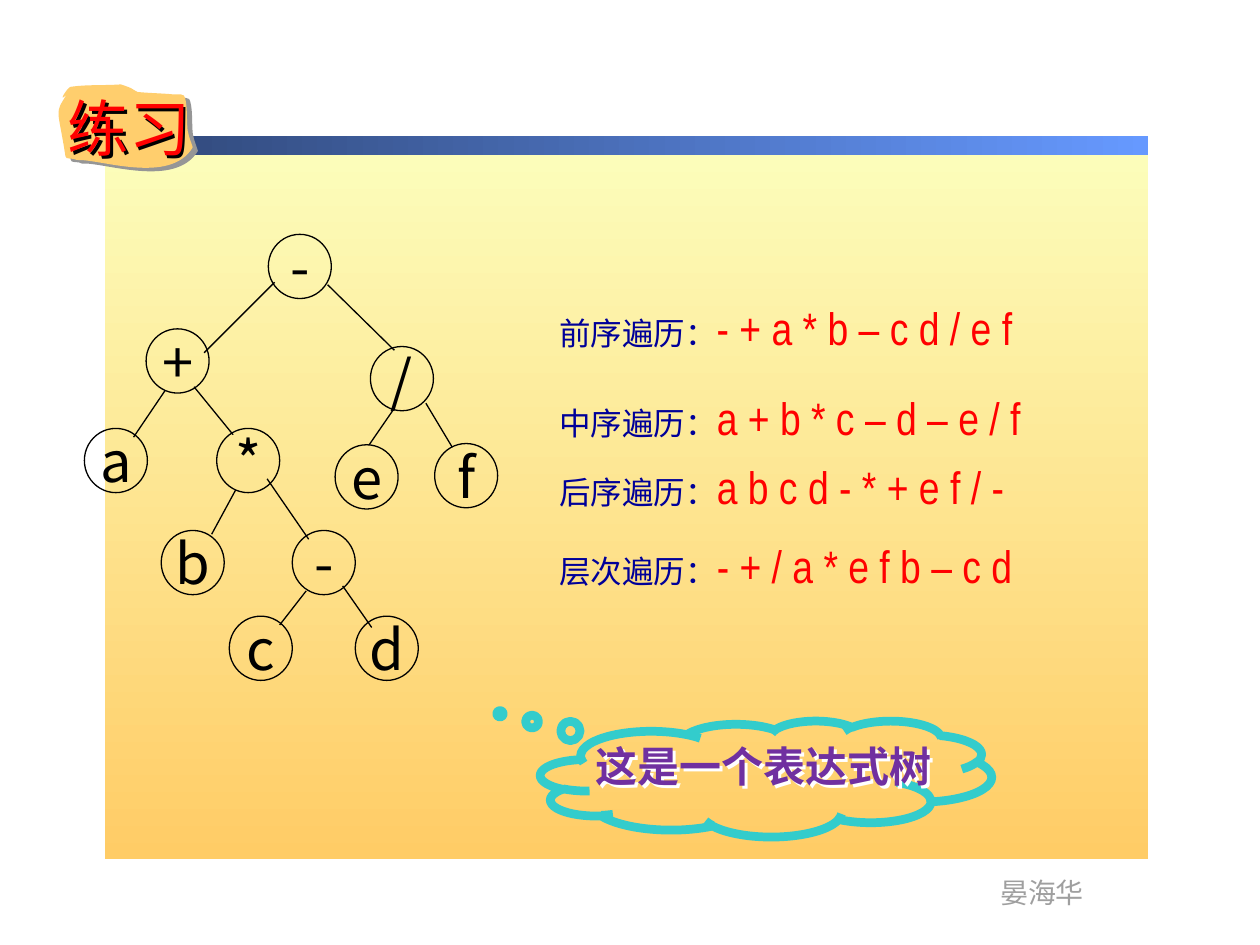
"""Build the exercise slide on traversals of an expression tree."""
from lxml import etree
from pptx import Presentation
from pptx.dml import color
from pptx.enum import shapes as kinds, text
from pptx.oxml import ns
from pptx.util import Inches, Pt

LATIN, CJK = "Arial Narrow", "Noto Sans CJK SC"
BLACK, RED = "000000", "FF0000"
BANDS = [
    ((0.83, 1.1, 8.28, 5.72), ("FCFEBC", "FFCC66"), 270),
    ((0.84, 1.08, 8.27, 0.15), ("2F4676", "6699FF"), 0),
]
BADGE_START = (0.53, 0.75)
BADGE_CURVES = [
    ((0.43, 0.91), (0.46, 0.85), (0.52, 1.24)),
    ((0.52, 1.27), (0.58, 1.25), (0.61, 1.27)),
    ((0.79, 1.26), (1.35, 1.47), (1.53, 1.17)),
    ((1.52, 1.14), (1.51, 1.11), (1.5, 1.08)),
    ((1.5, 1.07), (1.49, 1.04), (1.49, 1.04)),
    ((1.48, 0.95), (1.49, 0.86), (1.47, 0.78)),
    ((1.47, 0.74), (1.41, 0.75), (1.38, 0.75)),
    ((1.28, 0.74), (1.18, 0.74), (1.09, 0.73)),
    ((1.07, 0.72), (1.06, 0.71), (1.04, 0.7)),
    ((1.02, 0.69), (0.96, 0.67), (0.96, 0.67)),
    ((0.83, 0.68), (0.69, 0.67), (0.56, 0.69)),
    ((0.54, 0.69), (0.45, 0.83), (0.53, 0.75)),
]
NODE_SIZE = (0.5, 0.51)
NODES = [
    ("-", 2.13, 1.86), ("+", 1.16, 2.61), ("/", 2.94, 2.75),
    ("a", 0.67, 3.4), ("*", 1.72, 3.4), ("e", 2.66, 3.53), ("f", 3.45, 3.52),
    ("b", 1.28, 4.21), ("-", 2.32, 4.21), ("c", 1.82, 4.89), ("d", 2.82, 4.89),
]
EDGES = [
    (2.18, 2.24, 1.62, 2.8), (2.6, 2.26, 3.13, 2.78),
    (1.31, 3.1, 1.06, 3.47), (1.54, 3.07, 1.85, 3.45),
    (3.13, 3.24, 2.93, 3.53), (3.38, 3.2, 3.59, 3.55),
    (1.87, 3.89, 1.68, 4.24), (2.12, 3.8, 2.45, 4.28),
    (2.43, 4.69, 2.22, 4.96), (2.72, 4.65, 2.95, 4.98),
]
TRAVERSALS = [
    ("前序遍历：", "- + a * b – c d / e f", 2.33, 5.3),
    ("中序遍历：", "a + b * c – d – e / f", 3.04, 5.45),
    ("后序遍历：", "a b c d - * + e f / -", 3.59, 4.92),
    ("层次遍历：", "- + / a * e f b – c d", 4.22, 5.08),
]


def rgb(value):
    return color.RGBColor.from_string(value)


def inches(values):
    return [Inches(value) for value in values]


def add_shadow(shape, value, distance, degrees):
    effects = etree.SubElement(shape._element.spPr, ns.qn("a:effectLst"))
    shadow = etree.SubElement(effects, ns.qn("a:outerShdw"), dist=str(Pt(distance)),
                              dir=str(degrees * 60000), algn="ctr", rotWithShape="0")
    etree.SubElement(shadow, ns.qn("a:srgbClr"), val=value)


def add_run(paragraph, words, size, value, face=LATIN, bold=False):
    run = paragraph.add_run()
    run.text = words
    run.font.name, run.font.size, run.font.bold = face, Pt(size), bold
    run.font.color.rgb = rgb(value)


def add_label(parent, box, runs, anchor=text.MSO_ANCHOR.TOP, wrap=True):
    label = parent.add_textbox(*inches(box))
    frame = label.text_frame
    frame.word_wrap, frame.vertical_anchor = wrap, anchor
    frame.auto_size = text.MSO_AUTO_SIZE.SHAPE_TO_FIT_TEXT
    for run in runs:
        add_run(frame.paragraphs[0], *run)
    return label


def add_preset(parent, kind, box, line=None, width=0.75):
    shape = parent.add_shape(kind, *inches(box))
    shape.shadow.inherit = False
    shape.fill.background()
    if line:
        shape.line.color.rgb = rgb(line)
        shape.line.width = Pt(width)
    else:
        shape.line.fill.background()
    return shape


def bend_segments(shape):
    segments = list(shape._element.iter(ns.qn("a:lnTo")))
    for first in range(0, len(segments), 3):
        curve = etree.Element(ns.qn("a:cubicBezTo"))
        segments[first].addprevious(curve)
        for segment in segments[first:first + 3]:
            curve.append(segment[0])
            segment.getparent().remove(segment)


def add_bands(parent):
    for box, stops, angle in BANDS:
        band = add_preset(parent, kinds.MSO_SHAPE.RECTANGLE, box)
        band.fill.gradient()
        band.fill.gradient_angle = angle
        for position, (stop, value) in enumerate(zip(band.fill.gradient_stops, stops)):
            stop.position = position
            stop.color.rgb = rgb(value)


def add_badge(parent):
    outline = parent.build_freeform(*inches(BADGE_START), scale=1.0)
    outline.add_line_segments(
        [inches(point) for curve in BADGE_CURVES for point in curve], close=True)
    badge = outline.convert_to_shape()
    bend_segments(badge)
    badge.fill.solid()
    badge.fill.fore_color.rgb = rgb("FFCE6D")
    badge.line.fill.background()
    add_shadow(badge, "969696", 3.6, 34)
    title = add_label(parent, (0.44, 0.67, 1.73, 0.68), [("练习", 35, RED)])
    add_shadow(title, BLACK, 2, 45)


def add_tree(parent):
    for symbol, left, top in NODES:
        node = add_preset(parent, kinds.MSO_SHAPE.OVAL, (left, top, *NODE_SIZE), BLACK)
        frame = node.text_frame
        frame.word_wrap, frame.vertical_anchor = False, text.MSO_ANCHOR.MIDDLE
        frame.paragraphs[0].alignment = text.PP_ALIGN.CENTER
        add_run(frame.paragraphs[0], symbol, 32, BLACK, CJK)
    for ends in EDGES:
        edge = parent.add_connector(kinds.MSO_CONNECTOR.STRAIGHT, *inches(ends))
        edge.line.color.rgb = rgb(BLACK)
        edge.line.width = Pt(0.75)
        etree.SubElement(edge._element.spPr, ns.qn("a:effectLst"))


def add_traversals(parent):
    for name, order, top, width in TRAVERSALS:
        add_label(parent, (4.34, top, width, 0.54),
                  [(name, 18, "000099"), (order, 26, RED)], text.MSO_ANCHOR.MIDDLE)


def add_remark(parent):
    cloud = add_preset(parent, kinds.MSO_SHAPE.CLOUD_CALLOUT,
                       (4.29, 5.72, 3.58, 0.92), "33CCCC", 5)
    cloud.adjustments[0], cloud.adjustments[1] = -0.59, -0.56
    remark = add_label(parent, (4.63, 5.83, 3.25, 0.51),
                       [("这是一个表达式树", 24, "7030A0", LATIN, True)])
    add_shadow(remark, "FFFFFF", 2, 45)


def main():
    deck = Presentation()
    deck.slide_width, deck.slide_height = Inches(10), Inches(7.5)
    slide = deck.slides.add_slide(deck.slide_layouts[6])
    add_bands(slide.shapes)
    add_label(slide.shapes, (7.84, 6.9, 0.87, 0.37),
              [("晏海华", 16, "9F9F9F")], wrap=False)
    for add_part in (add_badge, add_tree, add_traversals, add_remark):
        add_part(slide.shapes.add_group_shape().shapes)
    deck.save("out.pptx")


if __name__ == "__main__":
    main()
